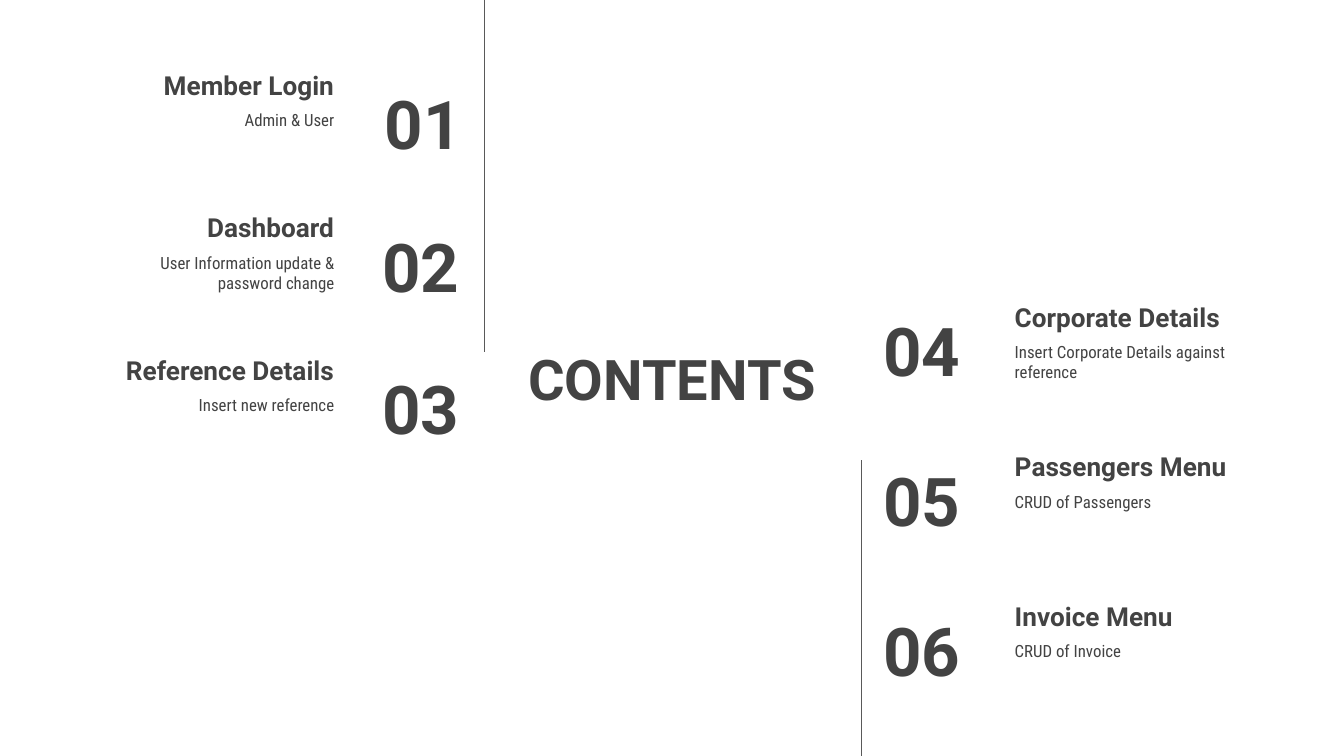
from dataclasses import dataclass

import lxml.etree
import pptx
import pptx.dml.color
import pptx.enum.shapes
import pptx.enum.text
import pptx.oxml.ns
import pptx.util

ALIGN = pptx.enum.text.PP_ALIGN
ANCHOR = pptx.enum.text.MSO_ANCHOR
CELL = 0.1
COLS, ROWS = 100, 56.25
INK, RULE = "434343", "595959"


@dataclass(frozen=True)
class Style:
    """Look of one kind of text."""
    size: float
    font: str
    bold: bool
    anchor: ANCHOR


@dataclass(frozen=True)
class Entry:
    """Heading, description and sideways shift of the number."""
    head: str
    sub: str
    shift: float = 0


@dataclass(frozen=True)
class Group:
    """Column of numbered entries at an even row pitch."""
    first: int
    top: float
    pitch: float
    head_col: float
    sub_col: float
    num_col: float
    num_width: float
    num_drop: float
    align: ALIGN
    entries: tuple[Entry, ...]


@dataclass(frozen=True)
class Rule:
    """Vertical line in a grid column."""
    col: float
    top: float
    bottom: float


TITLE = Style(30, "Roboto", True, ANCHOR.MIDDLE)
NUMBER = Style(36, "Roboto", True, ANCHOR.MIDDLE)
HEAD = Style(14, "Roboto", True, ANCHOR.BOTTOM)
SUB = Style(9, "Roboto Condensed", False, ANCHOR.TOP)

GROUPS = (
    Group(1, 2.2, 10.6, 4.25, 7.55, 23.05, 12.1, 3.8, ALIGN.RIGHT, (
        Entry("Member Login", "Admin & User", 0.2),
        Entry("Dashboard", "User Information update & password change"),
        Entry("Reference Details", "Insert new reference"),
    )),
    Group(4, 19.43, 11.15, 74.52, 74.52, 64.75, 11.7, 3.47, ALIGN.LEFT, (
        Entry("Corporate Details", "Insert Corporate Details against reference"),
        Entry("Passengers Menu", "CRUD of Passengers"),
        Entry("Invoice Menu", "CRUD of Invoice"),
    )),
)
RULES = (Rule(36.06, 0, 26.2), Rule(64.1, 34.23, ROWS))


def grid(n: float) -> int:
    """Turn grid cells into a length."""
    return pptx.util.Inches(n * CELL)


def color(value: str) -> pptx.dml.color.RGBColor:
    """Turn a hex string into a colour."""
    return pptx.dml.color.RGBColor.from_string(value)


def write(sp, text: str, style: Style, align: ALIGN) -> None:
    """Put one formatted paragraph in a shape."""
    tf = sp.text_frame
    tf.text = text
    tf.word_wrap = True
    tf.auto_size = pptx.enum.text.MSO_AUTO_SIZE.NONE
    tf.vertical_anchor = style.anchor
    tf.margin_left = tf.margin_right = tf.margin_top = tf.margin_bottom = grid(1)
    p = tf.paragraphs[0]
    p.alignment = align
    font = p.runs[0].font
    font.size = pptx.util.Pt(style.size)
    font.name = style.font
    font.bold = style.bold
    font.color.rgb = color(INK)


def add_text(s, col: float, row: float, width: float, text: str,
             style: Style, align: ALIGN) -> None:
    """Add a text box of the common height."""
    sp = s.shapes.add_textbox(grid(col), grid(row), grid(width), grid(6.3))
    write(sp, text, style, align)


def add_group(s, g: Group) -> None:
    """Draw the headings, descriptions and numbers of a group."""
    for i, entry in enumerate(g.entries):
        row = g.top + i * g.pitch
        add_text(s, g.head_col, row, 21.6, entry.head, HEAD, g.align)
        add_text(s, g.sub_col, row + 4.97, 18.3, entry.sub, SUB, g.align)
        add_text(s, g.num_col + entry.shift, row + g.num_drop, g.num_width,
                 f"{g.first + i:02d}", NUMBER, g.align)


def add_rule(s, rule: Rule) -> None:
    """Draw a thin vertical line."""
    line = s.shapes.add_connector(
        pptx.enum.shapes.MSO_CONNECTOR.STRAIGHT,
        grid(rule.col), grid(rule.top), grid(rule.col), grid(rule.bottom))
    line.line.color.rgb = color(RULE)
    line.line.width = pptx.util.Pt(0.75)
    lxml.etree.SubElement(line._element.spPr, pptx.oxml.ns.qn("a:effectLst"))


def main() -> None:
    """Build the contents slide."""
    prs = pptx.Presentation()
    prs.slide_width, prs.slide_height = grid(COLS), grid(ROWS)
    s = prs.slides.add_slide(prs.slide_layouts[5])
    title = s.shapes.title
    title.left, title.top = grid(37.05), grid(23)
    title.width, title.height = grid(25.9), grid(10.3)
    write(title, "CONTENTS", TITLE, ALIGN.CENTER)
    for g in GROUPS:
        add_group(s, g)
    for rule in RULES:
        add_rule(s, rule)
    prs.save("out.pptx")


if __name__ == "__main__":
    main()
